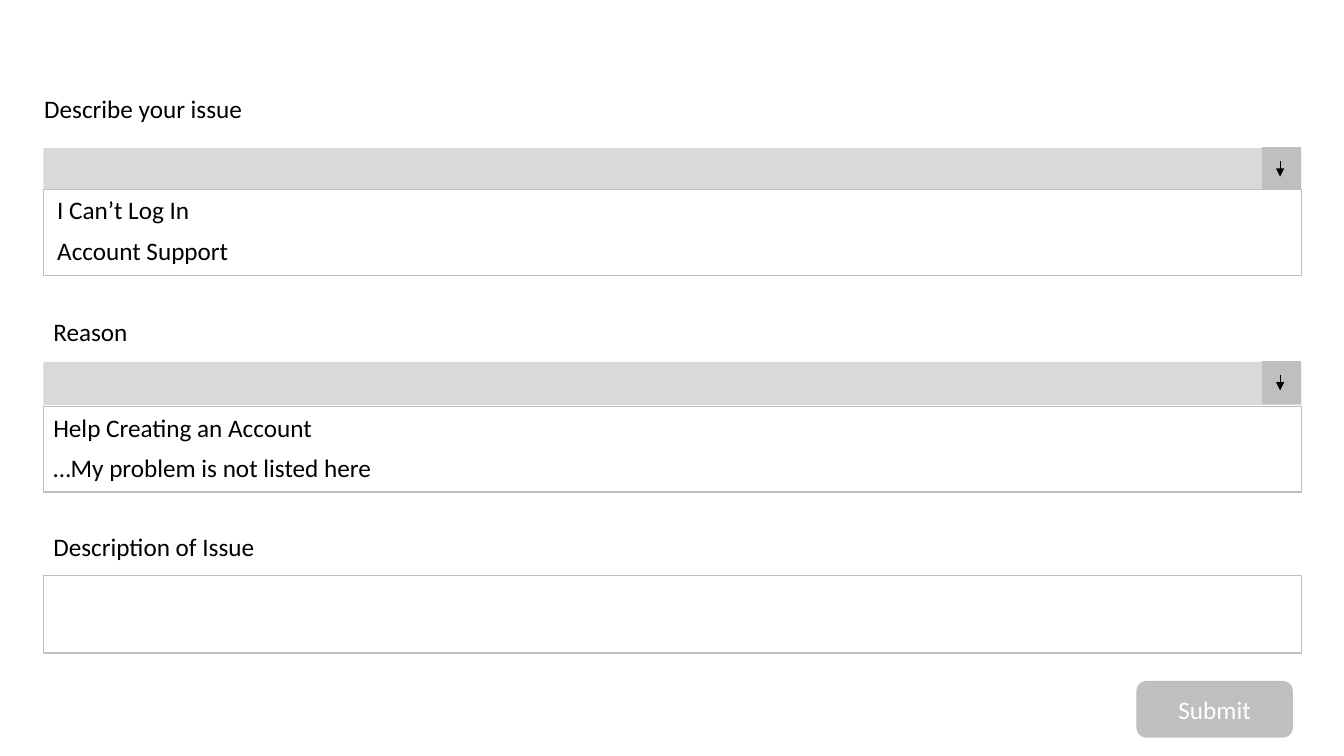
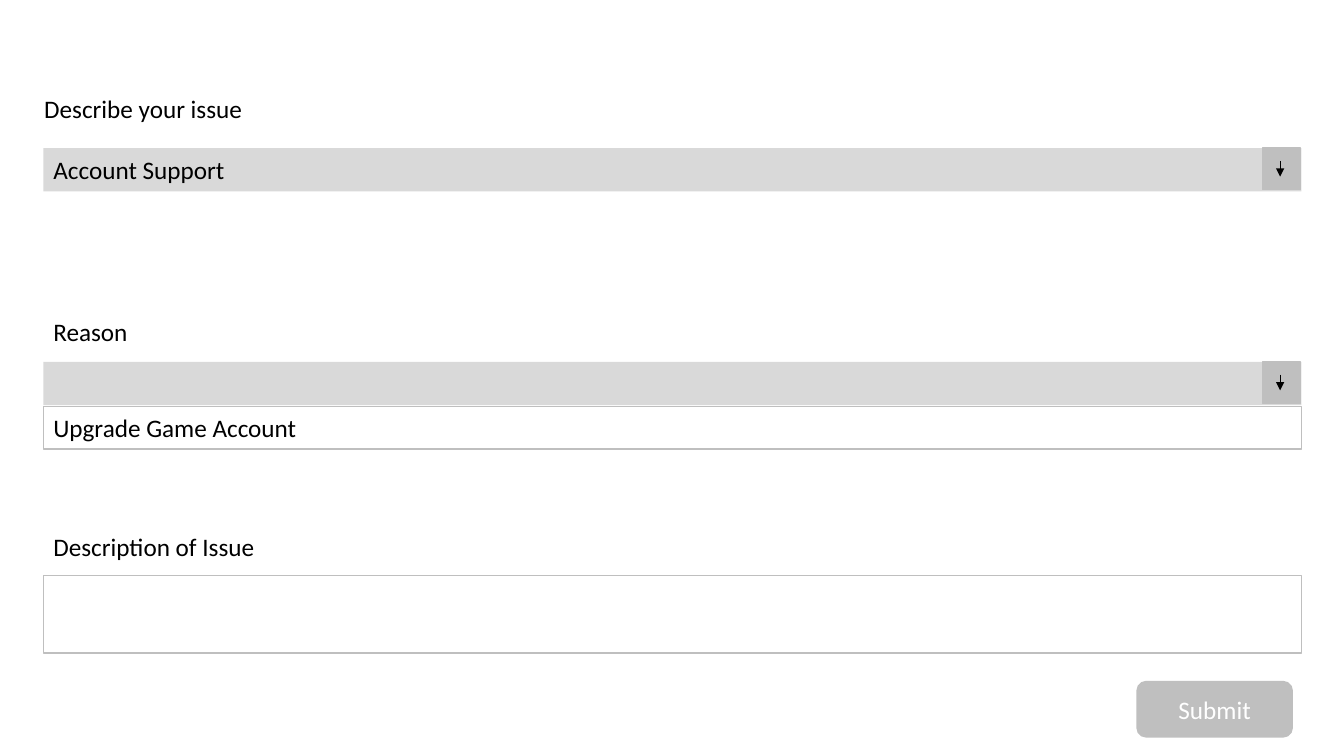
"""Build two states of a support request form."""
from lxml.etree import SubElement
from pptx import Presentation
from pptx.dml.color import RGBColor
from pptx.enum.shapes import MSO_CONNECTOR, MSO_SHAPE
from pptx.enum.text import MSO_ANCHOR, PP_ALIGN
from pptx.oxml.ns import qn
from pptx.util import Pt

FORMS = [
    {"issue": ("", ["I Can’t Log In", "Account Support"]),
     "reason": ("", ["Help Creating an Account", "…My problem is not listed here"])},
    {"issue": ("Account Support", []),
     "reason": ("", ["Upgrade Game Account"])},
]
LABELS = [
    ("Describe your issue", 24.5, 63.4, 160),
    ("Reason", 31, 222.5, 68.4),
    ("Description of Issue", 31, 375.8, 160),
]
FIELDS = {
    "issue": {"top": 105.8, "drop": 29.6, "indent": 2.8, "pad": 0},
    "reason": {"top": 258.5, "drop": 31.7, "indent": 0, "pad": 0.7},
}
BLACK = RGBColor(0, 0, 0)
WHITE = RGBColor(255, 255, 255)
PALE = RGBColor(0xD9, 0xD9, 0xD9)
GRAY = RGBColor(0xBF, 0xBF, 0xBF)
FONT = {"name": "Calibri", "size": Pt(18)}
LEFT, WIDTH = 31, 898.6
ROW, STEP, PANEL = 31, 28.8, 30.6
KEY, KEY_H = 27.4, 29.6


def style(item, values):
    for name, value in values.items():
        setattr(item, name, value)


def write(frame, text, color, align=PP_ALIGN.LEFT, wrap=True):
    style(frame, {"word_wrap": wrap, "vertical_anchor": MSO_ANCHOR.MIDDLE})
    par = frame.paragraphs[0]
    par.alignment = align
    run = par.add_run()
    run.text = text
    style(run.font, FONT)
    run.font.color.rgb = color


def label(shapes, text, left, top, width, wrap=True):
    box = shapes.add_textbox(Pt(left), Pt(top), Pt(width), Pt(STEP))
    write(box.text_frame, text, BLACK, wrap=wrap)


def block(shapes, left, top, width, height, fill=None, line=GRAY,
          kind=MSO_SHAPE.RECTANGLE):
    box = shapes.add_shape(kind, Pt(left), Pt(top), Pt(width), Pt(height))
    box.shadow.inherit = False
    if fill is None:
        box.fill.background()
    else:
        box.fill.solid()
        box.fill.fore_color.rgb = fill
    if line is None:
        box.line.fill.background()
    else:
        box.line.color.rgb = line
        box.line.width = Pt(1)
    return box


def arrow(shapes, left, top, end):
    line = shapes.add_connector(MSO_CONNECTOR.STRAIGHT, Pt(left), Pt(top), Pt(left), Pt(end))
    line.line.color.rgb = BLACK
    line.line.width = Pt(0.5)
    SubElement(line.line._get_or_add_ln(), qn("a:tailEnd"), type="triangle")
    SubElement(line._element.spPr, qn("a:effectLst"))


def field(shapes, top, drop, indent, pad, choice, options):
    bar = shapes.add_group_shape().shapes
    block(bar, LEFT, top, WIDTH, ROW, PALE, None)
    block(bar, LEFT + WIDTH - KEY - 0.5, top, KEY, KEY_H, GRAY)
    arrow(bar, 914.4, top + 9.2, top + 20.4)
    if choice:
        label(shapes, choice, LEFT, top + 0.8, 143.3)
    if options:
        menu = shapes.add_group_shape().shapes
        start = top + drop
        block(menu, LEFT, start, WIDTH, PANEL * len(options), WHITE)
        for row, text in enumerate(options):
            label(menu, text, LEFT + indent, start + pad + row * STEP, 892)


def build(slide, form):
    shapes = slide.shapes
    for text, left, top, width in LABELS:
        label(shapes, text, left, top, width, wrap=False)
    for name, (choice, options) in form.items():
        field(shapes, **FIELDS[name], choice=choice, options=options)
    block(shapes, LEFT, 411, WIDTH, 55.6)
    button = block(shapes, 812.2, 486.8, 110.9, 39.6, GRAY, kind=MSO_SHAPE.ROUNDED_RECTANGLE)
    write(button.text_frame, "Submit", WHITE, PP_ALIGN.CENTER)


def main():
    deck = Presentation()
    style(deck, {"slide_width": Pt(960), "slide_height": Pt(540)})
    for form in FORMS:
        build(deck.slides.add_slide(deck.slide_layouts[6]), form)
    deck.save("out.pptx")


if __name__ == "__main__":
    main()
